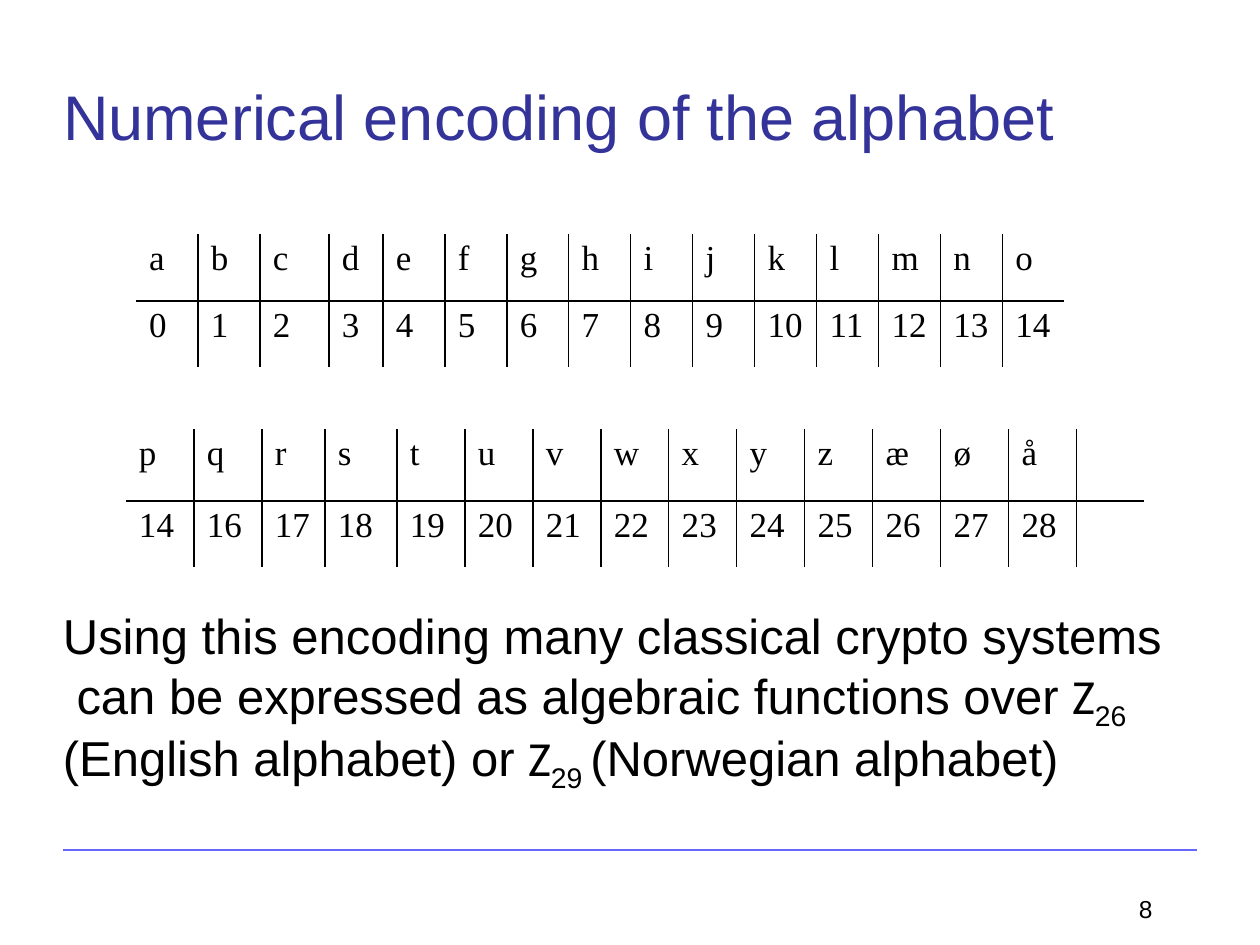
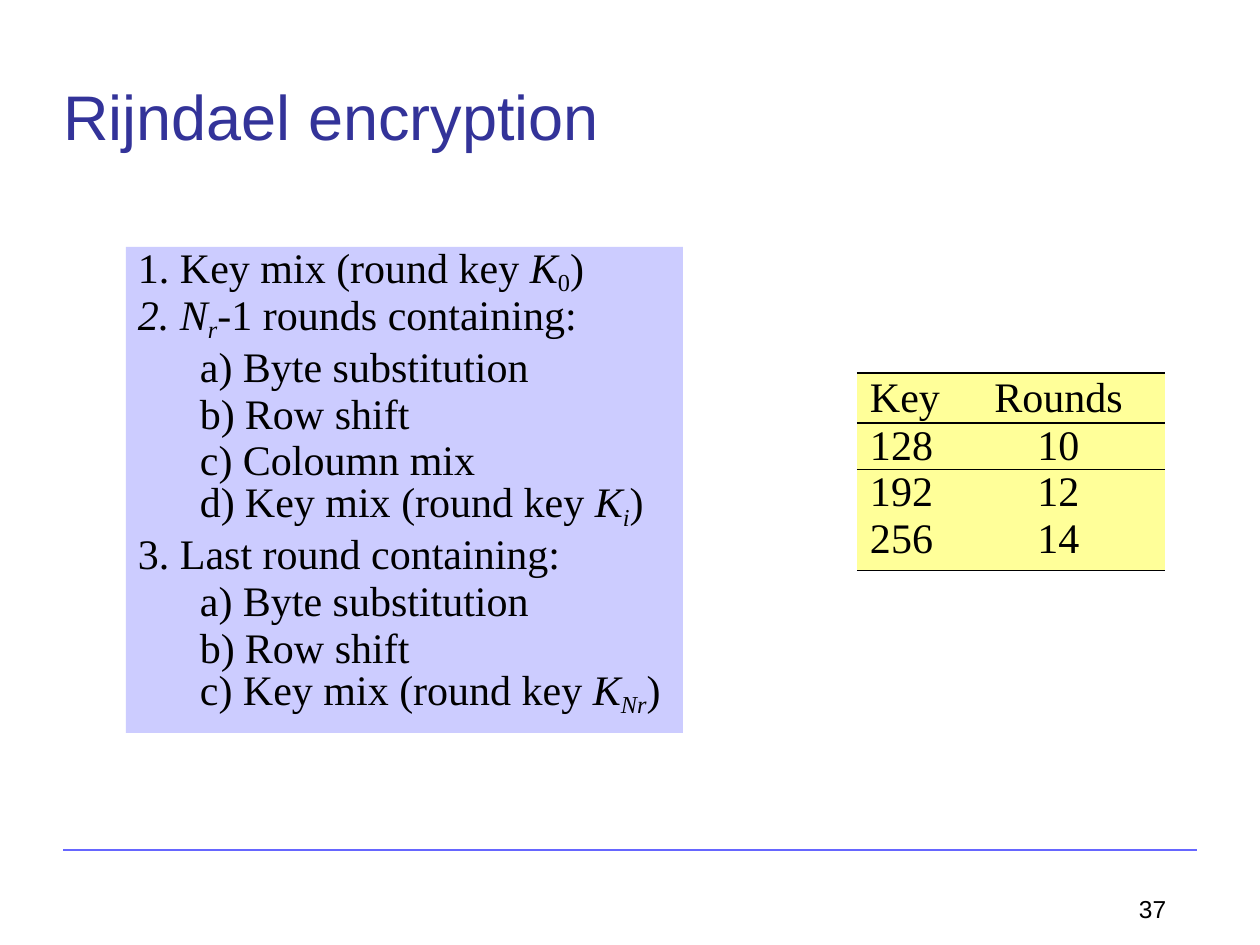
import pptx
import pptx.util
import pptx.dml.color
import pptx.enum.shapes
import pptx.enum.text
import pptx.oxml
import pptx.oxml.ns
import lxml.etree

RGB = pptx.dml.color.RGBColor
BLACK = RGB(0x00, 0x00, 0x00)
TITLE_BLUE = RGB(0x33, 0x33, 0x99)
RULE_BLUE = RGB(0x66, 0x66, 0xFF)
STEPS_LILAC = RGB(0xCC, 0xCC, 0xFF)
KEYS_YELLOW = RGB(0xFF, 0xFF, 0x99)
SANS, SERIF, SYMBOL = "Arial", "Times New Roman", "Calibri"
PX_PER_INCH = 126

# Content: runs are (text, marks): i italic, s subscript, z symbol font
ENCODING_TITLE = "Numerical encoding of the alphabet"
FIRST_LETTERS = [list("abcdefghijklmno"), [str(n) for n in range(15)]]
LAST_LETTERS = [list("pqrstuvwxyzæøå"), ["14"] + [str(n) for n in range(16, 29)]]
CONCLUSION = [
    ("Using this encoding many classical crypto systems", ""), ("\n", ""),
    (" can be expressed as algebraic functions over ", ""),
    ("Z", "z"), ("26 ", "s"), ("(English alphabet) or ", ""),
    ("Z", "z"), ("29 ", "s"), ("(Norwegian alphabet)", ""),
]
RIJNDAEL_TITLE = "Rijndael encryption"
STEPS = [  # level, hanging indent in px, runs
    (0, 42, [("Key mix (round key ", ""), ("K", "i"), ("0", "s"), (")", "")]),
    (0, 42, [("N", "i"), ("r", "is"), ("-", "i"), ("1 rounds containing:", "")]),
    (1, 43, [("Byte substitution", "")]),
    (1, 45, [("Row shift", "")]),
    (1, 43, [("Coloumn mix", "")]),
    (1, 45, [("Key mix (round key ", ""), ("K", "i"), ("i", "is"), (")", "")]),
    (0, 42, [("Last round containing:", "")]),
    (1, 43, [("Byte substitution", "")]),
    (1, 45, [("Row shift", "")]),
    (1, 43, [("Key mix (round key ", ""), ("K", "i"), ("Nr", "is"), (")", "")]),
]
NUMBERING = ["arabicPeriod", "alphaLcParenR"]
NUMBER_LEFT = [12, 74]
KEY_ROUNDS = [["Key", "Rounds"], ["128", "10"], ["192", "12"], ["256", "14"]]


def px(length):
    return round(length * 914400 / PX_PER_INCH)


def add_child(parent, tag, **attributes):
    child = lxml.etree.SubElement(parent, pptx.oxml.ns.qn(tag))
    for name, value in attributes.items():
        child.set(name, str(value))
    return child


def style(font, name, size, color=BLACK):
    font.name, font.size = name, pptx.util.Pt(size)
    font.color.rgb = color


def set_insets(frame, left, top):
    frame.margin_left, frame.margin_top = px(left), px(top)
    frame.margin_right = frame.margin_bottom = 0
    frame.word_wrap = True


def write_runs(paragraph, runs, name, size, drop):
    for text, marks in runs:
        if text == "\n":
            paragraph.add_line_break()
            continue
        run = paragraph.add_run()
        run.text = text
        style(run.font, SYMBOL if "z" in marks else name, size)
        run.font.italic = "i" in marks
        if "s" in marks:
            run.font._element.set("baseline", str(-1000 * drop))


def add_text(slide, box, left=0, top=0):
    frame = slide.shapes.add_textbox(*map(px, box)).text_frame
    set_insets(frame, left, top)
    return frame


def add_rule(slide, left, right, y, color, width):
    rule = slide.shapes.add_connector(
        pptx.enum.shapes.MSO_CONNECTOR.STRAIGHT, px(left), px(y), px(right), px(y))
    rule.line.color.rgb = color
    rule.line.width = pptx.util.Pt(width)
    add_child(rule._element.spPr, "a:effectLst")


def add_page(deck, title, number):
    slide = deck.slides.add_slide(deck.slide_layouts[6])
    add_rule(slide, 63, 1197, 850, RULE_BLUE, 0.72)
    heading = add_text(slide, (62, 73, 1000, 80), 1, 1)
    heading.vertical_anchor = pptx.enum.text.MSO_ANCHOR.BOTTOM
    heading.text = title
    style(heading.paragraphs[0].runs[0].font, SANS, 36, TITLE_BLUE)
    footer = add_text(slide, (1134, 895, 38, 32), 5)
    footer.text = str(number)
    footer.paragraphs[0].line_spacing = pptx.util.Pt(16.5)
    style(footer.paragraphs[0].runs[0].font, SANS, 14)
    return slide


def set_borders(cell, sides, width):
    properties = cell._tc.get_or_add_tcPr()
    for side in "LRTB":
        line = add_child(properties, f"a:ln{side}", w=round(width * 12700))
        if side in sides:
            add_child(add_child(line, "a:solidFill"), "a:srgbClr", val=BLACK)
        else:
            add_child(line, "a:noFill")


def add_table(slide, left, top, widths, heights, rows, size, inset_top, borders, width):
    """borders(row, column) gives the drawn sides of a cell."""
    table = slide.shapes.add_table(
        len(rows), len(widths), px(left), px(top), px(sum(widths)), px(sum(heights))).table
    table.first_row = table.horz_banding = False
    for column, column_width in zip(table.columns, widths):
        column.width = px(column_width)
    for r, (row, height) in enumerate(zip(rows, heights)):
        table.rows[r].height = px(height)
        for c, text in enumerate(row):
            cell = table.cell(r, c)
            cell.margin_left, cell.margin_top = px(13), px(inset_top)
            cell.margin_right = cell.margin_bottom = 0
            cell.text = text
            style(cell.text_frame.paragraphs[0].runs[0].font, SERIF, size)
            set_borders(cell, borders(r, c), width)
            cell.fill.background()
    return table


def build_encoding(deck):
    slide = add_page(deck, ENCODING_TITLE, 8)

    # Conclusion under the tables
    paragraph = add_text(slide, (58, 605, 1111, 170), 5, 6).paragraphs[0]
    paragraph.line_spacing = 0.92
    write_runs(paragraph, CONCLUSION, SANS, 28, 26)

    # Letters with their numbers
    def first_borders(r, c):
        return ("L" if c else "") + ("R" if c < 14 else "") + "BT"[r]

    def last_borders(r, c):
        return "LR" if c else "R"

    add_table(slide, 136, 234, [62, 62, 69, 54] + [62] * 11, [67, 66],
              FIRST_LETTERS, 20, 5, first_borders, 1)
    add_table(slide, 126, 429, [68, 68, 63, 72] + [68] * 10, [72, 66],
              LAST_LETTERS, 20, 5, last_borders, 1)
    add_rule(slide, 126, 1144, 501, BLACK, 1)


def build_rijndael(deck):
    slide = add_page(deck, RIJNDAEL_TITLE, 37)

    # Numbered steps
    panel = slide.shapes.add_shape(
        pptx.enum.shapes.MSO_SHAPE.RECTANGLE, *map(px, (126, 247, 557, 486)))
    panel.shadow.inherit = False
    panel.fill.solid()
    panel.fill.fore_color.rgb = STEPS_LILAC
    panel.line.fill.background()
    frame = panel.text_frame
    set_insets(frame, 0, 1)
    frame.vertical_anchor = pptx.enum.text.MSO_ANCHOR.TOP
    for index, (level, hang, runs) in enumerate(STEPS):
        paragraph = frame.add_paragraph() if index else frame.paragraphs[0]
        text_left = px(NUMBER_LEFT[level] + hang)
        properties = paragraph._p.get_or_add_pPr()
        properties.set("marL", str(text_left))
        properties.set("indent", str(-px(hang)))
        add_child(properties, "a:buAutoNum", type=NUMBERING[level])
        add_child(add_child(properties, "a:tabLst"), "a:tab", pos=text_left, algn="l")
        paragraph.level = level
        paragraph.alignment = pptx.enum.text.PP_ALIGN.LEFT
        paragraph.line_spacing = pptx.util.Pt(26.8 if index else 27.9)
        write_runs(paragraph, runs, SERIF, 24, 21)

    # Rounds for each key length
    def key_borders(r, c):
        return ["TB", "TB", "T", "B"][r]

    table = add_table(slide, 857, 373, [110, 198], [50, 47, 47, 54],
                      KEY_ROUNDS, 24, 0, key_borders, 0.75)
    for r, spacing in enumerate([27.6, 26.5, 25.8, 26.3]):
        for cell in table.rows[r].cells:
            cell.fill.solid()
            cell.fill.fore_color.rgb = KEYS_YELLOW
            cell.text_frame.paragraphs[0].line_spacing = pptx.util.Pt(spacing)
        rounds = table.cell(r, 1)
        rounds.margin_left, rounds.margin_right = 0, px(15)
        rounds.text_frame.paragraphs[0].alignment = pptx.enum.text.PP_ALIGN.CENTER


def main():
    deck = pptx.Presentation()
    deck.slide_width, deck.slide_height = px(1260), px(945)
    build_encoding(deck)
    build_rijndael(deck)
    deck.save("out.pptx")


if __name__ == "__main__":
    main()
